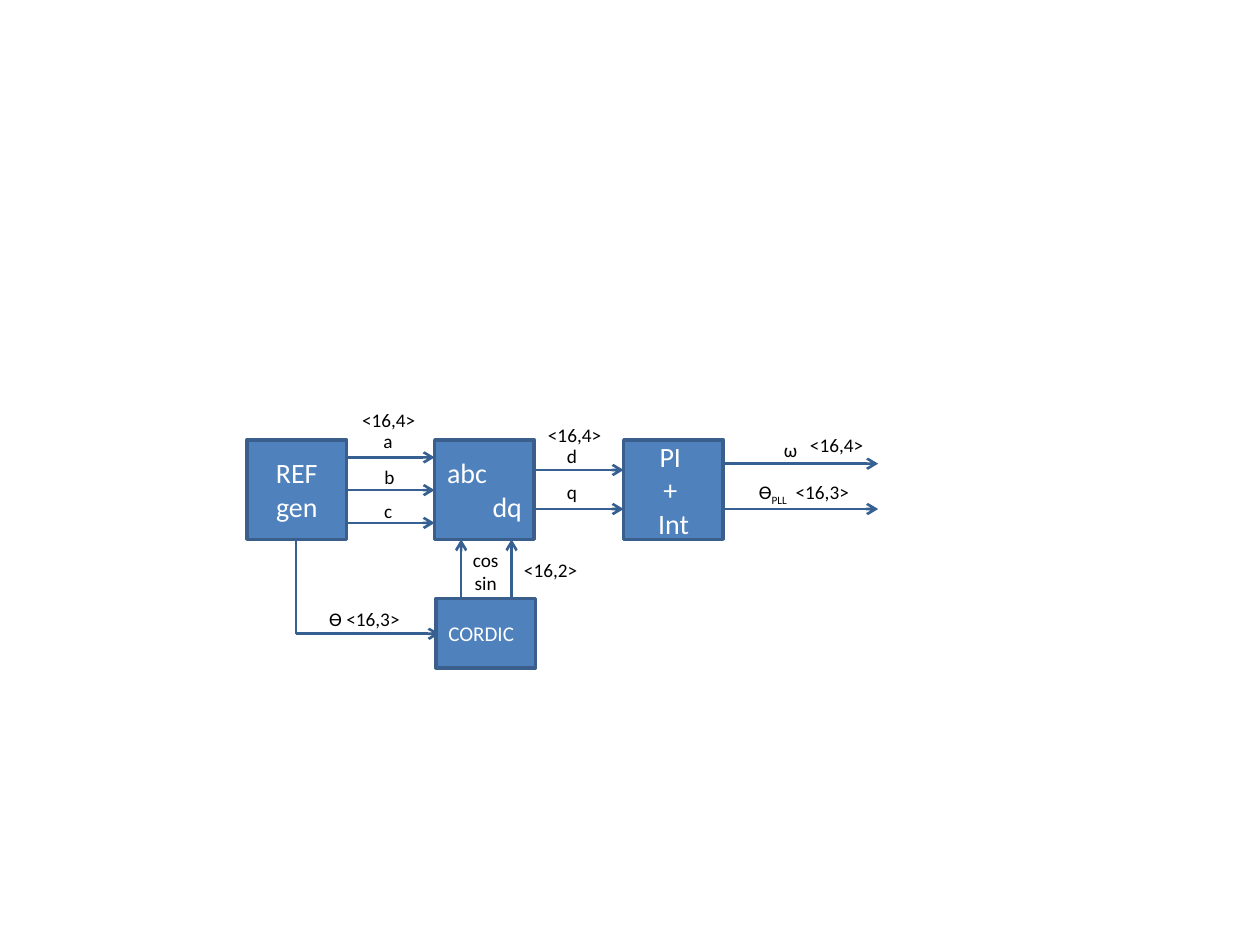
from lxml.etree import SubElement
from pptx import Presentation
from pptx.dml.color import RGBColor
from pptx.enum.shapes import MSO_CONNECTOR, MSO_SHAPE
from pptx.enum.text import MSO_ANCHOR, MSO_AUTO_SIZE, PP_ALIGN
from pptx.oxml.ns import qn
from pptx.util import Inches, Pt

BLOCK_FILL = RGBColor(0x4F, 0x81, 0xBD)
BLOCK_EDGE = RGBColor(0x3A, 0x5F, 0x8C)
SIGNAL = RGBColor(0x37, 0x60, 0x92)
WHITE = RGBColor(0xFF, 0xFF, 0xFF)
BLACK = RGBColor(0, 0, 0)
LEFT, CENTER, RIGHT = PP_ALIGN.LEFT, PP_ALIGN.CENTER, PP_ALIGN.RIGHT

BLOCK_SIZE = 0.79
BLOCK_TOP = 3.49
BLOCK_BOTTOM = BLOCK_TOP + BLOCK_SIZE
REF_LEFT, ABC_LEFT, PI_LEFT = 1.96, 3.45, 4.95
CORDIC_LEFT, CORDIC_TOP = 3.46, 4.75
THETA_X, THETA_Y = 2.35, 5.03
OUTPUT_END = 6.97


def write_text(frame, text, size=11, color=BLACK, aligns=(LEFT,), wrap=True):
    frame.word_wrap = wrap
    for index, line in enumerate(text.split("\n")):
        paragraph = frame.paragraphs[0] if index == 0 else frame.add_paragraph()
        paragraph.alignment = aligns[min(index, len(aligns) - 1)]
        for row, row_text in enumerate(line.split("\v")):
            if row:
                paragraph.add_line_break()
            for part, words in enumerate(row_text.split("_")):
                run = paragraph.add_run()
                run.text = words
                run.font.name = "Calibri"
                run.font.size = Pt(size)
                run.font.color.rgb = color
                if part % 2:
                    run._r.get_or_add_rPr().set("baseline", "-25000")


def add_block(slide, text, left, top=BLOCK_TOP, height=BLOCK_SIZE, size=16, aligns=(CENTER,)):
    block = slide.shapes.add_shape(
        MSO_SHAPE.RECTANGLE, Inches(left), Inches(top), Inches(BLOCK_SIZE), Inches(height))
    block.shadow.inherit = False
    block.fill.solid()
    block.fill.fore_color.rgb = BLOCK_FILL
    block.line.color.rgb = BLOCK_EDGE
    block.line.width = Pt(2)
    block.text_frame.vertical_anchor = MSO_ANCHOR.MIDDLE
    write_text(block.text_frame, text, size=size, color=WHITE, aligns=aligns)


def add_signal(slide, x1, y1, x2, y2, arrow=True):
    signal = slide.shapes.add_connector(
        MSO_CONNECTOR.STRAIGHT, Inches(x1), Inches(y1), Inches(x2), Inches(y2))
    signal.line.color.rgb = SIGNAL
    signal.line.width = Pt(1.5)
    if arrow:
        SubElement(signal.line._get_or_add_ln(), qn("a:tailEnd"), type="arrow")
    SubElement(signal._element.spPr, qn("a:effectLst"))


def add_label(slide, text, left, top, width=0.69, height=0.29, **text_format):
    label = slide.shapes.add_textbox(Inches(left), Inches(top), Inches(width), Inches(height))
    write_text(label.text_frame, text, **text_format)
    label.text_frame.auto_size = MSO_AUTO_SIZE.SHAPE_TO_FIT_TEXT


def add_blocks(slide):
    add_block(slide, "REF gen", REF_LEFT)
    add_block(slide, "abc\ndq", ABC_LEFT, aligns=(LEFT, RIGHT))
    add_block(slide, "PI \v+ \vInt", PI_LEFT)
    add_block(slide, "CORDIC", CORDIC_LEFT, top=CORDIC_TOP, height=0.55, size=12, aligns=(LEFT,))


def add_signals(slide):
    stages = [
        (REF_LEFT + BLOCK_SIZE, ABC_LEFT, (3.63, 3.89, 4.15)),
        (ABC_LEFT + BLOCK_SIZE, PI_LEFT, (3.73, 4.04)),
        (PI_LEFT + BLOCK_SIZE, OUTPUT_END, (3.68, 4.04)),
    ]
    for start, end, levels in stages:
        for level in levels:
            add_signal(slide, start, level, end, level)
    for x in (3.66, 4.06):
        add_signal(slide, x, CORDIC_TOP, x, BLOCK_BOTTOM)
    add_signal(slide, THETA_X, THETA_Y, THETA_X, BLOCK_BOTTOM, arrow=False)
    add_signal(slide, THETA_X, THETA_Y, 3.49, THETA_Y)


def add_labels(slide):
    signal_names = [
        ("a", 2.94, 3.36), ("b", 2.95, 3.64), ("c", 2.94, 3.91),
        ("d", 4.4, 3.48), ("q", 4.4, 3.76), ("ω", 6.12, 3.43),
    ]
    for name, left, top in signal_names:
        width = 0.31 if name == "ω" else 0.28
        add_label(slide, name, left, top, width=width, aligns=(CENTER,), wrap=False)
    add_label(slide, "<16,4>", 2.74, 3.19, aligns=(CENTER,))
    for word_format, left, top in [("<16,4>", 4.25, 3.31), ("<16,4>", 6.33, 3.39), ("<16,2>", 4.06, 4.38)]:
        add_label(slide, word_format, left, top)
    add_label(slide, "cos\nsin", 3.58, 4.3, width=0.55, height=0.47, aligns=(CENTER,))
    add_label(slide, " ϴ <16,3>", 2.48, 4.77, width=0.9)
    add_label(slide, " ϴ_PLL_  <16,3>", 5.89, 3.76, width=1.08)


def main():
    deck = Presentation()
    deck.slide_width, deck.slide_height = Inches(10), Inches(7.5)
    slide = deck.slides.add_slide(deck.slide_layouts[6])
    add_signals(slide)
    add_blocks(slide)
    add_labels(slide)
    deck.save("out.pptx")


if __name__ == "__main__":
    main()
